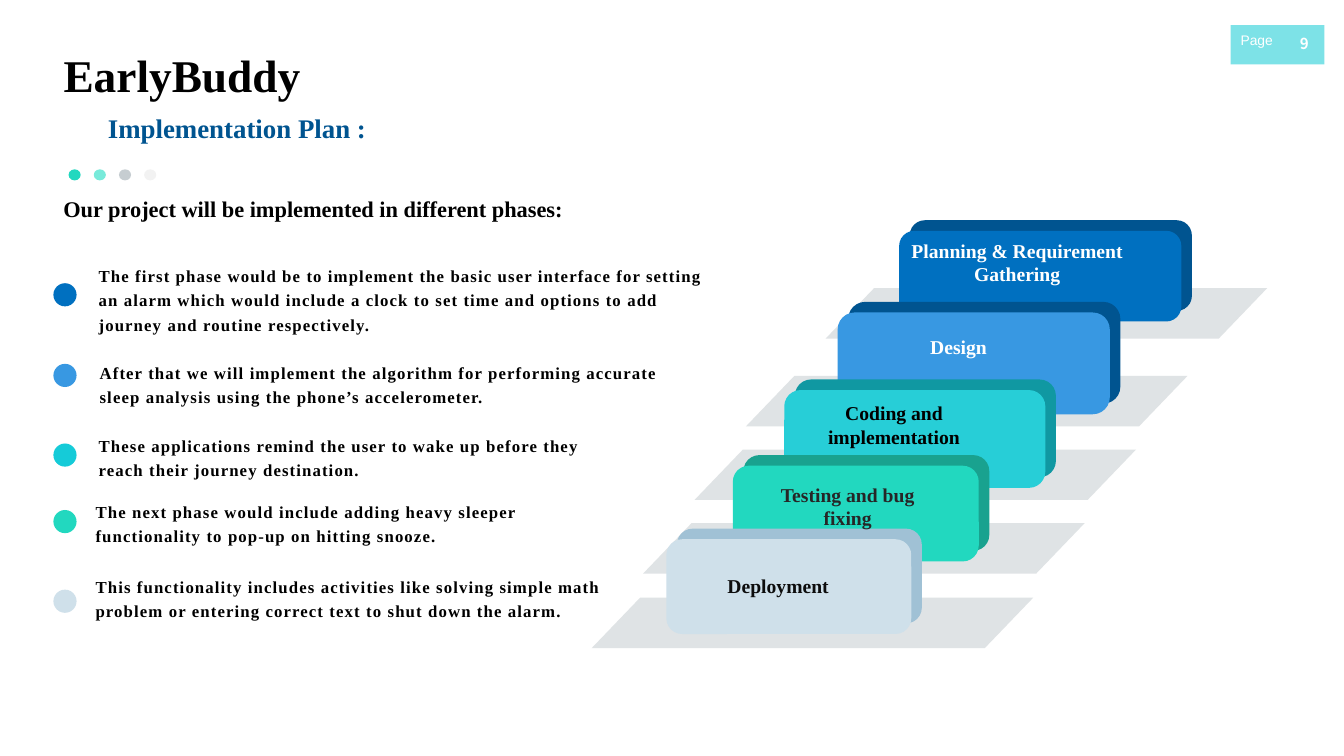
from dataclasses import dataclass

from lxml import etree
from pptx import Presentation
from pptx.dml.color import RGBColor
from pptx.enum.shapes import MSO_SHAPE
from pptx.enum.text import MSO_ANCHOR, MSO_AUTO_SIZE, PP_ALIGN
from pptx.oxml.ns import qn
from pptx.util import Inches, Pt

RECTANGLE = MSO_SHAPE.RECTANGLE
ROUNDED = MSO_SHAPE.ROUNDED_RECTANGLE
OVAL = MSO_SHAPE.OVAL
PARALLELOGRAM = MSO_SHAPE.PARALLELOGRAM
LEFT, CENTER = PP_ALIGN.LEFT, PP_ALIGN.CENTER
TOP, MIDDLE = MSO_ANCHOR.TOP, MSO_ANCHOR.MIDDLE
NO_AUTOFIT = MSO_AUTO_SIZE.NONE

COLUMNS, ROWS = 133.33, 75
SLIDE_WIDTH, SLIDE_HEIGHT = Inches(13.33), Inches(7.5)
COLUMN, ROW = SLIDE_WIDTH / COLUMNS, SLIDE_HEIGHT / ROWS


@dataclass(frozen=True)
class Theme:
    serif: str = "Times New Roman"
    sans: str = "Arial"
    number_font: str = "Noto Sans CJK SC"
    black: str = "000000"
    white: str = "FFFFFF"
    navy: str = "005490"
    badge: str = "7DE2E7"
    slab: str = "DFE3E5"
    accents: tuple[str, ...] = ("22D8BF", "78EADA", "C6CDD1", "F2F2F2")
    title_size: float = 32.4
    subtitle_size: float = 19.2
    intro_size: float = 16
    label_size: float = 14
    body_size: float = 12
    number_size: float = 10.8
    page_size: float = 9.9


@dataclass(frozen=True)
class Box:
    left: float
    top: float
    width: float
    height: float

    def emu(self) -> tuple[int, int, int, int]:
        return (round(self.left * COLUMN), round(self.top * ROW),
                round(self.width * COLUMN), round(self.height * ROW))

    def moved(self, columns: float, rows: float) -> "Box":
        return Box(self.left + columns, self.top + rows, self.width, self.height)


@dataclass(frozen=True)
class Phase:
    label: str
    label_box: Box
    label_color: str
    card: Box
    front: str
    back: str
    slab_left: float
    slab_top: float
    description: str
    description_box: Box
    dot_top: float
    dot_color: str


THEME = Theme()
SLAB_WIDTH, SLAB_HEIGHT, SLAB_SLANT = 43.8, 5, 0.96
DOT_LEFT, DOT_SIZE = 5.3, 2.3
CARD_DEPTH = 1.05

PHASES = (
    Phase("Planning & Requirement\nGathering", Box(88.9, 23.2, 24, 8.1), THEME.white,
          Box(89.2, 22.9, 28, 9), "0070C0", THEME.navy, 81.9, 28.6,
          "The first phase would be to implement the basic user interface for setting an "
          "alarm which would include a clock to set time and options to add journey and "
          "routine respectively.", Box(8.8, 25.5, 64.1, 6.6), 28.1, "0070C0"),
    Phase("Design", Box(85.5, 32.7, 19.2, 3.4), THEME.white,
          Box(83.1, 31, 27, 10.1), "3898E2", THEME.navy, 74, 37.3,
          "After that we will implement the algorithm for performing accurate sleep "
          "analysis using the phone’s accelerometer.", Box(8.9, 35.1, 60, 6), 36.1, "3898E2"),
    Phase("Coding and implementation", Box(79.1, 39.3, 19.2, 5.7), THEME.black,
          Box(77.8, 38.7, 25.9, 9.7), "27CED7", "1098A2", 68.9, 44.6,
          "These applications remind the user to wake up before they reach their journey "
          "destination.", Box(8.8, 42.3, 54.6, 5.5), 44, "15CBD8"),
    Phase("Testing and bug fixing", Box(74.5, 47.4, 19.2, 5.7), "262626",
          Box(72.7, 46.2, 24.4, 9.5), "22D8BF", "19A28F", 63.8, 51.9,
          "The next phase would include adding heavy sleeper functionality to pop-up on "
          "hitting snooze.", Box(8.5, 48.9, 52.1, 5), 50.6, "22D8BF"),
    Phase("Deployment", Box(67.6, 56.4, 19.2, 3.4), "0D0D0D",
          Box(66.1, 53.5, 24.3, 9.4), "CFE0EA", "A0C1D5", 58.7, 59.3,
          "This functionality includes activities like solving simple math problem or "
          "entering correct text to shut down the alarm.",
          Box(8.5, 56.3, 54.1, 6.6), 58.5, "CFE0EA"),
)


def draw(shapes, kind, box: Box, color: str, adjustment: float | None = None) -> None:
    shape = shapes.add_shape(kind, *box.emu())
    shape.shadow.inherit = False
    shape.fill.solid()
    shape.fill.fore_color.rgb = RGBColor.from_string(color)
    shape.line.fill.background()
    if adjustment is not None:
        shape.adjustments[0] = adjustment


def write(holder, text: str, *, size: float, color: str, font: str = THEME.serif,
          bold: bool = True, align=LEFT, anchor=TOP, line_spacing: float = 1.0,
          tracking: int = 0) -> None:
    frame = holder.text_frame
    frame.word_wrap = True
    frame.auto_size = NO_AUTOFIT
    frame.vertical_anchor = anchor
    frame.text = text
    for paragraph in frame.paragraphs:
        paragraph.alignment = align
        paragraph.line_spacing = line_spacing
        paragraph.space_before = Pt(0)
        for run in paragraph.runs:
            run.font.name = font
            run.font.size = Pt(size)
            run.font.bold = bold
            run.font.color.rgb = RGBColor.from_string(color)
            if tracking:
                run.font._element.set("spc", str(tracking))


def place(holder, box: Box) -> None:
    holder.left, holder.top, holder.width, holder.height = box.emu()


def add_header(slide) -> None:
    title, subtitle = slide.shapes.title, slide.placeholders[1]
    place(title, Box(5.3, 4.8, 58.5, 6.1))
    write(title, "EarlyBuddy", size=THEME.title_size, color=THEME.black, line_spacing=0.9)
    place(subtitle, Box(9.7, 10.9, 51.8, 4))
    write(subtitle, "Implementation Plan :", size=THEME.subtitle_size, color=THEME.navy,
          line_spacing=0.9)
    properties = subtitle.text_frame.paragraphs[0]._p.get_or_add_pPr()
    properties.set("marL", "0")
    properties.set("indent", "0")
    etree.SubElement(properties, qn("a:buNone"))

    accent_dots = slide.shapes.add_group_shape().shapes
    for index, color in enumerate(THEME.accents):
        draw(accent_dots, OVAL, Box(6.8 + 2.5 * index, 16.8, 1.2, 1.1), color)
    intro = slide.shapes.add_textbox(*Box(5.3, 19.2, 53.4, 4).emu())
    write(intro, "Our project will be implemented in different phases:",
          size=THEME.intro_size, color=THEME.black, line_spacing=0.9)


def add_page_badge(slide) -> None:
    draw(slide.shapes, RECTANGLE, Box(122.1, 2.5, 9.3, 3.9), THEME.badge)
    number = slide.shapes.add_textbox(*Box(125.5, 2.3, 7.8, 4).emu())
    write(number, "9", size=THEME.number_size, color=THEME.white, font=THEME.number_font,
          align=CENTER, anchor=MIDDLE)
    caption = slide.shapes.add_textbox(*Box(122.1, 2.7, 6.6, 2.7).emu())
    write(caption, "Page", size=THEME.page_size, color=THEME.white, font=THEME.sans,
          bold=False)


def add_phases(slide) -> None:
    shapes = slide.shapes
    for phase in PHASES:
        draw(shapes, PARALLELOGRAM,
             Box(phase.slab_left, phase.slab_top, SLAB_WIDTH, SLAB_HEIGHT),
             THEME.slab, SLAB_SLANT)
        draw(shapes, OVAL, Box(DOT_LEFT, phase.dot_top, DOT_SIZE, DOT_SIZE), phase.dot_color)
        description = shapes.add_textbox(*phase.description_box.emu())
        write(description, phase.description, size=THEME.body_size, color=THEME.black,
              line_spacing=1.2, tracking=80)
    for phase in PHASES:
        card = shapes.add_group_shape().shapes
        draw(card, ROUNDED, phase.card.moved(CARD_DEPTH, -CARD_DEPTH), phase.back)
        draw(card, ROUNDED, phase.card, phase.front)
    for phase in PHASES:
        label = shapes.add_textbox(*phase.label_box.emu())
        write(label, phase.label, size=THEME.label_size, color=phase.label_color, align=CENTER)


def main() -> None:
    presentation = Presentation()
    presentation.slide_width, presentation.slide_height = SLIDE_WIDTH, SLIDE_HEIGHT
    slide = presentation.slides.add_slide(presentation.slide_layouts[1])
    add_page_badge(slide)
    add_header(slide)
    add_phases(slide)
    presentation.save("out.pptx")


if __name__ == "__main__":
    main()
